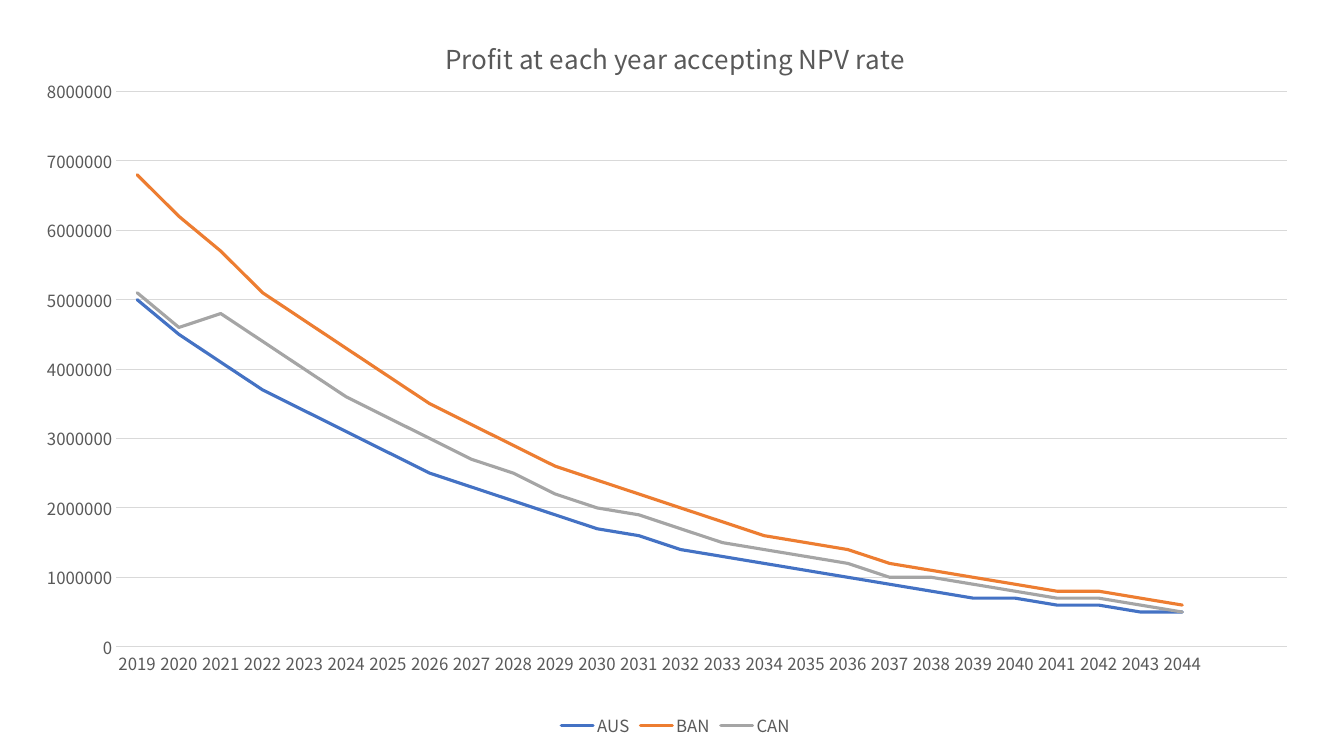
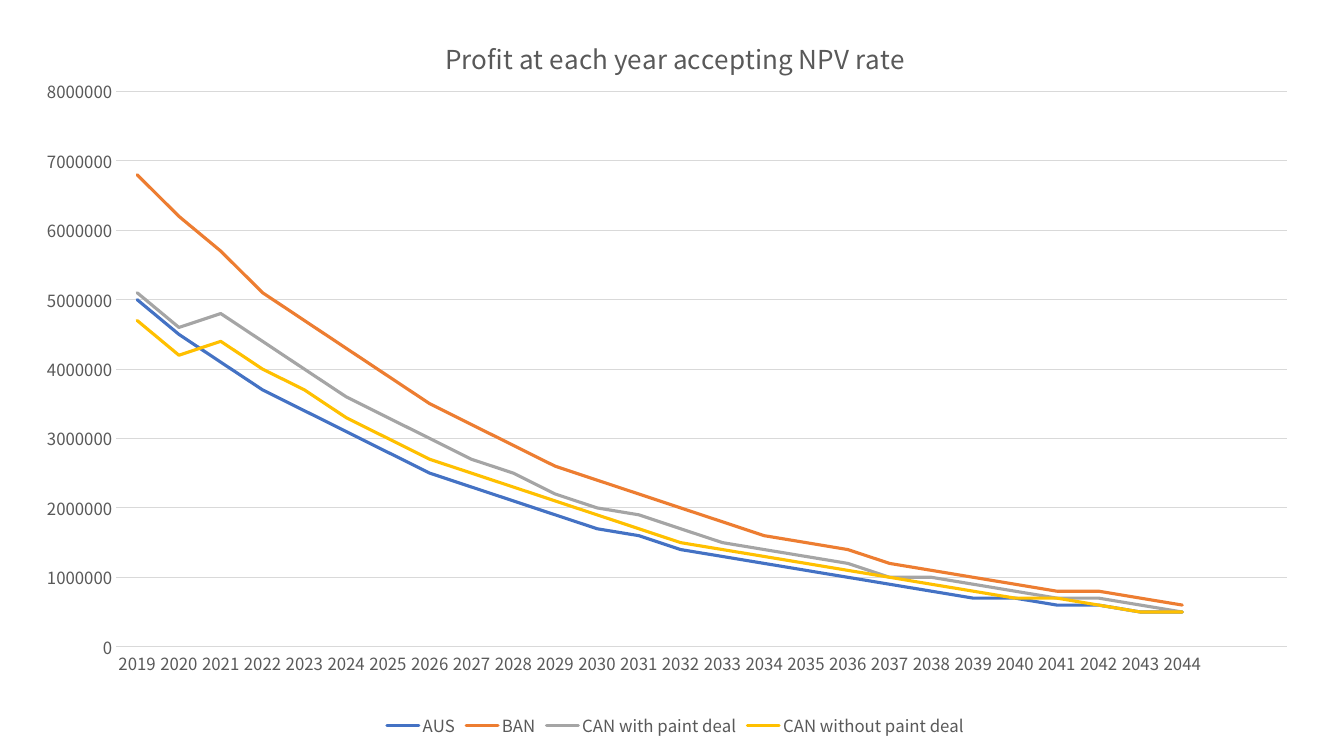
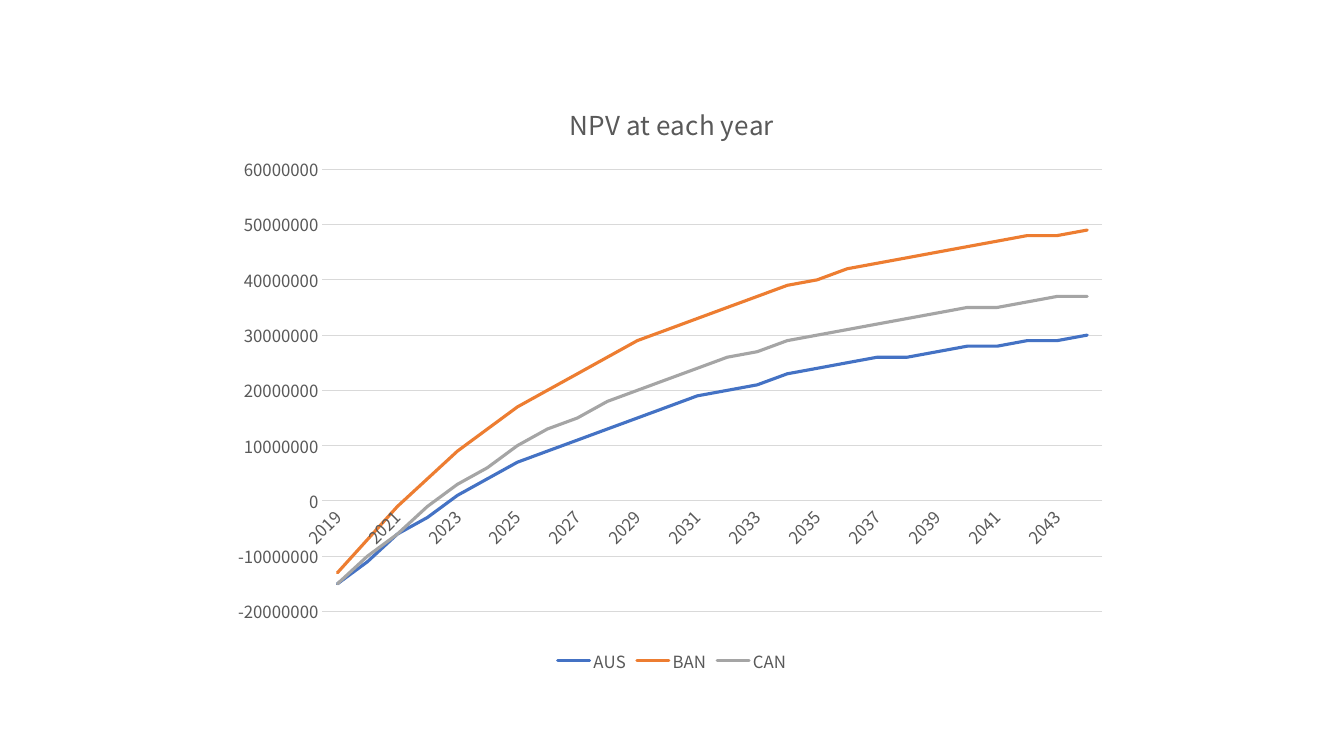
from lxml import etree
from pptx import Presentation
from pptx.chart.data import CategoryChartData
from pptx.dml.color import RGBColor
from pptx.enum.chart import XL_CHART_TYPE, XL_LEGEND_POSITION, XL_TICK_LABEL_POSITION, XL_TICK_MARK
from pptx.oxml import parse_xml
from pptx.oxml.ns import nsdecls, qn
from pptx.util import Inches, Pt

FONT = "Noto Sans CJK KR"
COLORS = {"text": "595959", "grid": "D9D9D9", "background": "FFFFFF"}
SERIES_COLORS = ["4472C4", "ED7D31", "A5A5A5", "FFC000"]
YEARS = [str(year) for year in range(2019, 2045)]

PROFIT_UNIT = 100_000
PROFIT_AUS = [50, 45, 41, 37, 34, 31, 28, 25, 23, 21, 19, 17, 16,
              14, 13, 12, 11, 10, 9, 8, 7, 7, 6, 6, 5, 5]
PROFIT_BAN = [68, 62, 57, 51, 47, 43, 39, 35, 32, 29, 26, 24, 22,
              20, 18, 16, 15, 14, 12, 11, 10, 9, 8, 8, 7, 6]
PROFIT_CAN = [51, 46, 48, 44, 40, 36, 33, 30, 27, 25, 22, 20, 19,
              17, 15, 14, 13, 12, 10, 10, 9, 8, 7, 7, 6, 5]
PROFIT_CAN_NO_DEAL = [47, 42, 44, 40, 37, 33, 30, 27, 25, 23, 21, 19, 17,
                      15, 14, 13, 12, 11, 10, 9, 8, 7, 7, 6, 5, 5]

NPV_UNIT = 1_000_000
NPV_AUS = [-15, -11, -6, -3, 1, 4, 7, 9, 11, 13, 15, 17, 19,
           20, 21, 23, 24, 25, 26, 26, 27, 28, 28, 29, 29, 30]
NPV_BAN = [-13, -7, -1, 4, 9, 13, 17, 20, 23, 26, 29, 31, 33,
           35, 37, 39, 40, 42, 43, 44, 45, 46, 47, 48, 48, 49]
NPV_CAN = [-15, -10, -6, -1, 3, 6, 10, 13, 15, 18, 20, 22, 24,
           26, 27, 29, 30, 31, 32, 33, 34, 35, 35, 36, 37, 37]

PROFIT = {
    "title": "Profit at each year accepting NPV rate",
    "unit": PROFIT_UNIT,
    "years": YEARS + ["", ""],
    "box": (0.25, 0.11, 12.9, 7.25),
    "plot": (0.07, 0.11, 0.9, 0.76),
    "scale": (0, 8_000_000, 1_000_000),
}
NPV = {
    "title": "NPV at each year",
    "unit": NPV_UNIT,
    "years": YEARS,
    "box": (2.22, 0.79, 8.89, 5.93),
    "plot": (0.11, 0.15, 0.87, 0.74),
    "scale": (-20_000_000, 60_000_000, 10_000_000),
}
SLIDES = [
    (PROFIT, {"AUS": PROFIT_AUS, "BAN": PROFIT_BAN, "CAN": PROFIT_CAN}),
    (PROFIT, {"AUS": PROFIT_AUS, "BAN": PROFIT_BAN, "CAN with paint deal": PROFIT_CAN,
              "CAN without paint deal": PROFIT_CAN_NO_DEAL}),
    (NPV, {"AUS": NPV_AUS, "BAN": NPV_BAN, "CAN": NPV_CAN}),
]


def color(value):
    return RGBColor.from_string(value)


def style_font(font, size):
    font.name = FONT
    font.size = Pt(size)
    font.bold = False
    font.color.rgb = color(COLORS["text"])


def style_line(line, value, width):
    line.color.rgb = color(value)
    line.width = Pt(width)


def place_plot(chart, plot):
    plot_area = chart._chartSpace.chart.plotArea
    for layout in plot_area.findall(qn("c:layout")):
        plot_area.remove(layout)
    layout = parse_xml(f'<c:layout {nsdecls("c")}><c:manualLayout/></c:layout>')
    settings = [("layoutTarget", "inner"), ("xMode", "edge"), ("yMode", "edge")]
    settings += zip("xywh", map(str, plot))
    for name, value in settings:
        etree.SubElement(layout[0], qn(f"c:{name}"), val=value)
    plot_area.insert(0, layout)


def style_axes(chart, scale):
    for axis in (chart.category_axis, chart.value_axis):
        axis.major_tick_mark = axis.minor_tick_mark = XL_TICK_MARK.NONE
        axis.tick_label_position = XL_TICK_LABEL_POSITION.NEXT_TO_AXIS
        style_font(axis.tick_labels.font, 12)
        axis._element.find(qn("c:txPr")).find(qn("a:bodyPr")).set("rot", "-60000000")
    style_line(chart.category_axis.format.line, COLORS["grid"], 0.75)
    value_axis = chart.value_axis
    value_axis.minimum_scale, value_axis.maximum_scale, value_axis.major_unit = scale
    value_axis.format.line.fill.background()
    value_axis.has_major_gridlines = True
    style_line(value_axis.major_gridlines.format.line, COLORS["grid"], 0.75)
    value_axis.tick_labels.number_format = "General"
    value_axis.tick_labels.number_format_is_linked = False


def add_line_chart(slide, design, series_values):
    data = CategoryChartData()
    data.categories = design["years"]
    for name, values in series_values.items():
        padding = [None] * (len(design["years"]) - len(values))
        data.add_series(name, [value * design["unit"] for value in values] + padding)
    box = [Inches(length) for length in design["box"]]
    chart = slide.shapes.add_chart(XL_CHART_TYPE.LINE, *box, data).chart
    chart.font.name = FONT
    chart.font.size = Pt(10)

    chart.has_title = True
    paragraph = chart.chart_title.text_frame.paragraphs[0]
    paragraph.text = design["title"]
    style_font(paragraph.runs[0].font, 18.6)
    chart.chart_title.include_in_layout = False

    chart.has_legend = True
    chart.legend.position = XL_LEGEND_POSITION.BOTTOM
    chart.legend.include_in_layout = False
    style_font(chart.legend.font, 12)

    style_axes(chart, design["scale"])
    place_plot(chart, design["plot"])
    chart.plots[0].vary_by_categories = False
    for series, line_color in zip(chart.plots[0].series, SERIES_COLORS):
        series.smooth = False
        style_line(series.format.line, line_color, 2.25)
        series.format.line._ln.set("cap", "rnd")


presentation = Presentation()
presentation.slide_width = Inches(13.33)
presentation.slide_height = Inches(7.5)
background = presentation.slide_master.background.fill
background.solid()
background.fore_color.rgb = color(COLORS["background"])
for design, series_values in SLIDES:
    slide = presentation.slides.add_slide(presentation.slide_layouts[6])
    add_line_chart(slide, design, series_values)
presentation.save("out.pptx")
